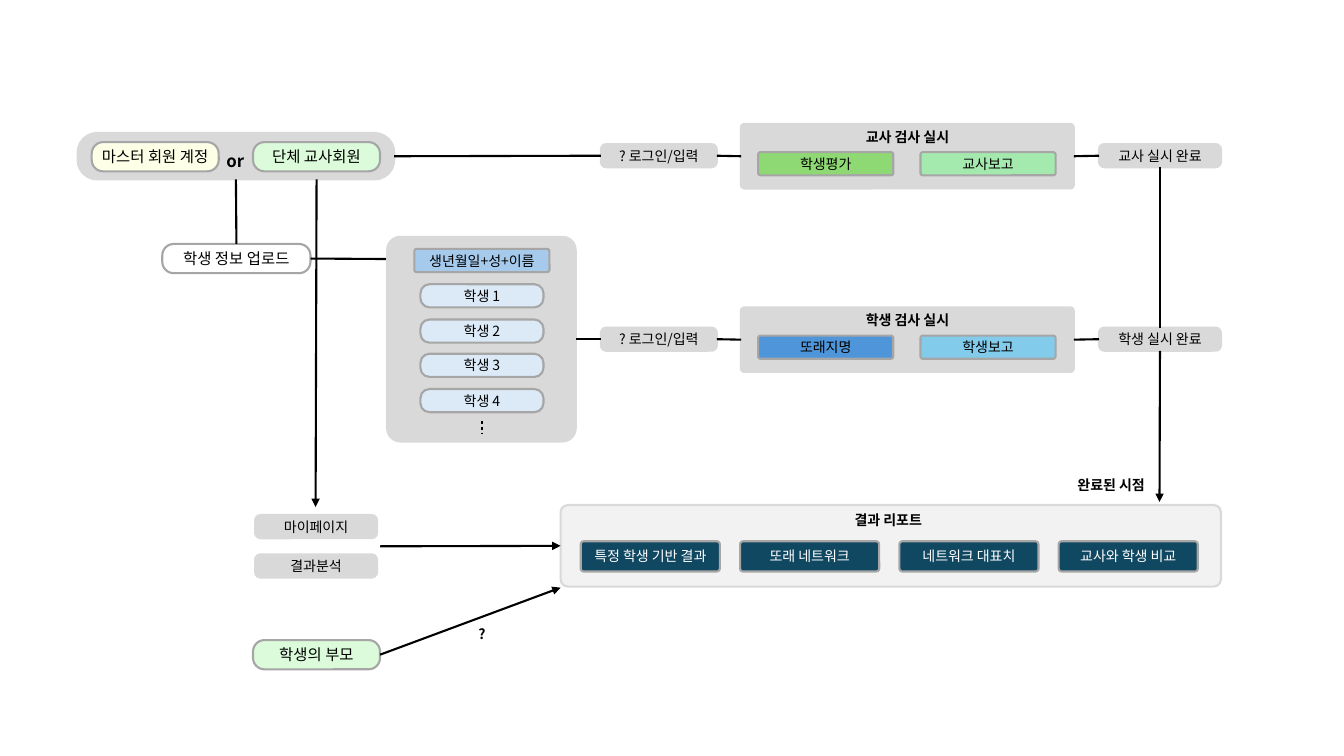
from lxml import etree
from pptx import Presentation
from pptx.dml.color import RGBColor
from pptx.enum.dml import MSO_LINE
from pptx.enum.shapes import MSO_CONNECTOR, MSO_SHAPE
from pptx.enum.text import MSO_ANCHOR, PP_ALIGN
from pptx.oxml.ns import qn
from pptx.util import Pt

ROUND = MSO_SHAPE.ROUNDED_RECTANGLE
STRAIGHT = MSO_CONNECTOR.STRAIGHT
DOTS = MSO_LINE.ROUND_DOT
MIDDLE = MSO_ANCHOR.MIDDLE
CENTER = PP_ALIGN.CENTER
TOP, LEFT, BOTTOM, RIGHT = range(4)
FONT = "Noto Sans CJK KR"
BLACK, WHITE = "000000", "FFFFFF"
GRAY, EDGE, PALE = "D9D9D9", "A6A6A6", "F2F2F2"
GREEN, SKY, NAVY = "DBFBDA", "DCEAF7", "104862"


def px(n):
    """Turn hundredths of an inch into EMU."""
    return n * 9144


def color(code):
    """Turn a hex string into a colour."""
    return RGBColor.from_string(code)


def write(shape, text, size, ink=BLACK, bold=False):
    """Put one centred line of text into a shape."""
    frame = shape.text_frame
    frame.word_wrap = True
    frame.vertical_anchor = MIDDLE
    frame.margin_left = frame.margin_right = 0
    frame.margin_top = frame.margin_bottom = 0
    para = frame.paragraphs[0]
    para.text = text
    para.alignment = CENTER
    font = para.font
    font.size, font.bold, font.name = Pt(size), bold, FONT
    font.color.rgb = color(ink)
    props = para._p.pPr.find(qn("a:defRPr"))
    etree.SubElement(props, qn("a:ea")).set("typeface", FONT)


def box(slide, x, y, w, h, fill, edge, curve, text="", size=10, ink=BLACK):
    """Draw a rounded box, with text if given."""
    shape = slide.shapes.add_shape(ROUND, px(x), px(y), px(w), px(h))
    shape.shadow.inherit = False
    shape.adjustments[0] = curve
    shape.fill.solid()
    shape.fill.fore_color.rgb = color(fill)
    shape.line.color.rgb = color(edge)
    shape.line.width = Pt(1.5)
    if text:
        write(shape, text, size, ink)
    return shape


def pill(slide, x, y, w, h, fill, text, size=11):
    """Draw an outlined pill."""
    return box(slide, x, y, w, h, fill, EDGE, 0.39, text, size)


def step(slide, x, y, w, text):
    """Draw a gray step box."""
    return box(slide, x, y, w, 23, GRAY, GRAY, 0.23, text)


def card(slide, x, y, w, h, fill, text, ink=BLACK):
    """Draw an outlined card."""
    return box(slide, x, y, w, h, fill, EDGE, 0.1, text, 10, ink)


def label(slide, x, y, w, h, text, size=10):
    """Place a bold label."""
    area = slide.shapes.add_textbox(px(x), px(y), px(w), px(h))
    write(area, text, size, bold=True)


def line(slide, start, end, arrow=False, width=1.5):
    """Draw a line between points or (shape, side) pairs."""
    ends = [p if isinstance(p[0], int) else (0, 0) for p in (start, end)]
    (x1, y1), (x2, y2) = ends
    link = slide.shapes.add_connector(STRAIGHT, px(x1), px(y1), px(x2), px(y2))
    if not isinstance(start[0], int):
        link.begin_connect(*start)
    if not isinstance(end[0], int):
        link.end_connect(*end)
    link.line.color.rgb = color(BLACK)
    link.line.width = Pt(width)
    if arrow:
        tail = etree.SubElement(link.line._get_or_add_ln(), qn("a:tailEnd"))
        tail.set("type", "triangle")
    etree.SubElement(link._element.spPr, qn("a:effectLst"))
    return link


def accounts(slide, x, y):
    """Draw the account group and the upload box below it."""
    group = box(slide, x, y, 314, 46, GRAY, GRAY, 0.42)
    pill(slide, x + 14, y + 9, 126, 29, "FDFFE7", "마스터 회원 계정")
    pill(slide, x + 174, y + 9, 126, 29, GREEN, "단체 교사회원")
    label(slide, x + 130, y + 11, 53, 34, "or", 12)
    upload = pill(slide, x + 84, y + 110, 147, 29, WHITE, "학생 정보 업로드")
    line(slide, (group, BOTTOM), (upload, TOP))
    line(slide, (upload, RIGHT), (x + 307, y + 125))
    line(slide, (x + 237, y + 46), (x + 236, y + 371), True)
    return group


def roster(slide, x, y):
    """Draw the panel of students."""
    panel = box(slide, x, y, 187, 203, GRAY, GRAY, 0.07)
    card(slide, x + 27, y + 12, 134, 23, "A6CAEC", "생년월일+성+이름")
    for i in range(4):
        top = y + 47 + round(i * 34.6)
        pill(slide, x + 33, top, 122, 23, SKY, f"학생 {i + 1}", 10)
    more = line(slide, (x + 94, y + 183), (x + 94, y + 195), width=2)
    more.line.dash_style = DOTS
    return panel


def test(slide, source, x, y, who, cards):
    """Draw a row of login, test and completion, fed by a source."""
    login = step(slide, x, y + 20, 115, "? 로그인/입력")
    panel = box(slide, x + 139, y, 330, 64, GRAY, GRAY, 0.05)
    label(slide, x + 250, y + 1, 108, 23, f"{who} 검사 실시")
    for i, (text, fill) in enumerate(cards):
        card(slide, x + 156 + i * 161, y + 28, 134, 23, fill, text)
    done = step(slide, x + 494, y + 20, 121, f"{who} 실시 완료")
    stops = [source, login, panel, done]
    for a, b in zip(stops, stops[1:]):
        line(slide, (a, RIGHT), (b, LEFT))
    return done


def report(slide, x, y):
    """Draw the report panel."""
    panel = box(slide, x, y, 655, 81, PALE, GRAY, 0.09)
    label(slide, x + 270, y, 110, 30, "결과 리포트")
    names = ["특정 학생 기반 결과", "또래 네트워크", "네트워크 대표치", "교사와 학생 비교"]
    for i, name in enumerate(names):
        card(slide, x + 20 + i * 158, y + 36, 138, 30, NAVY, name, WHITE)
    return panel


def viewers(slide, x, y, panel):
    """Draw the pages and the parent that lead to the report."""
    for i, name in enumerate(["마이페이지", "결과분석"]):
        step(slide, x + 2, y + i * 39, 121, name)
    line(slide, (x + 126, y + 31), (panel, LEFT), True)
    parent = pill(slide, x, y + 124, 126, 29, GREEN, "학생의 부모")
    line(slide, (parent, RIGHT), (x + 305, y + 72), True)
    label(slide, x + 173, y + 106, 108, 23, "?")


def main():
    """Build the slide and save it."""
    deck = Presentation()
    deck.slide_width, deck.slide_height = px(1333), px(750)
    slide = deck.slides.add_slide(deck.slide_layouts[6])
    group = accounts(slide, 77, 132)
    panel = roster(slide, 384, 235)
    first = test(slide, group, 596, 123, "교사",
                 [("학생평가", "8ED973"), ("교사보고", "A4EAAE")])
    second = test(slide, panel, 596, 305, "학생",
                  [("또래지명", "4E95D9"), ("학생보고", "83CBEB")])
    line(slide, (first, BOTTOM), (second, TOP))
    line(slide, (second, BOTTOM), (1150, 498), True)
    label(slide, 1048, 470, 108, 23, "완료된 시점")
    viewers(slide, 251, 511, report(slide, 556, 501))
    deck.save("out.pptx")


if __name__ == "__main__":
    main()
